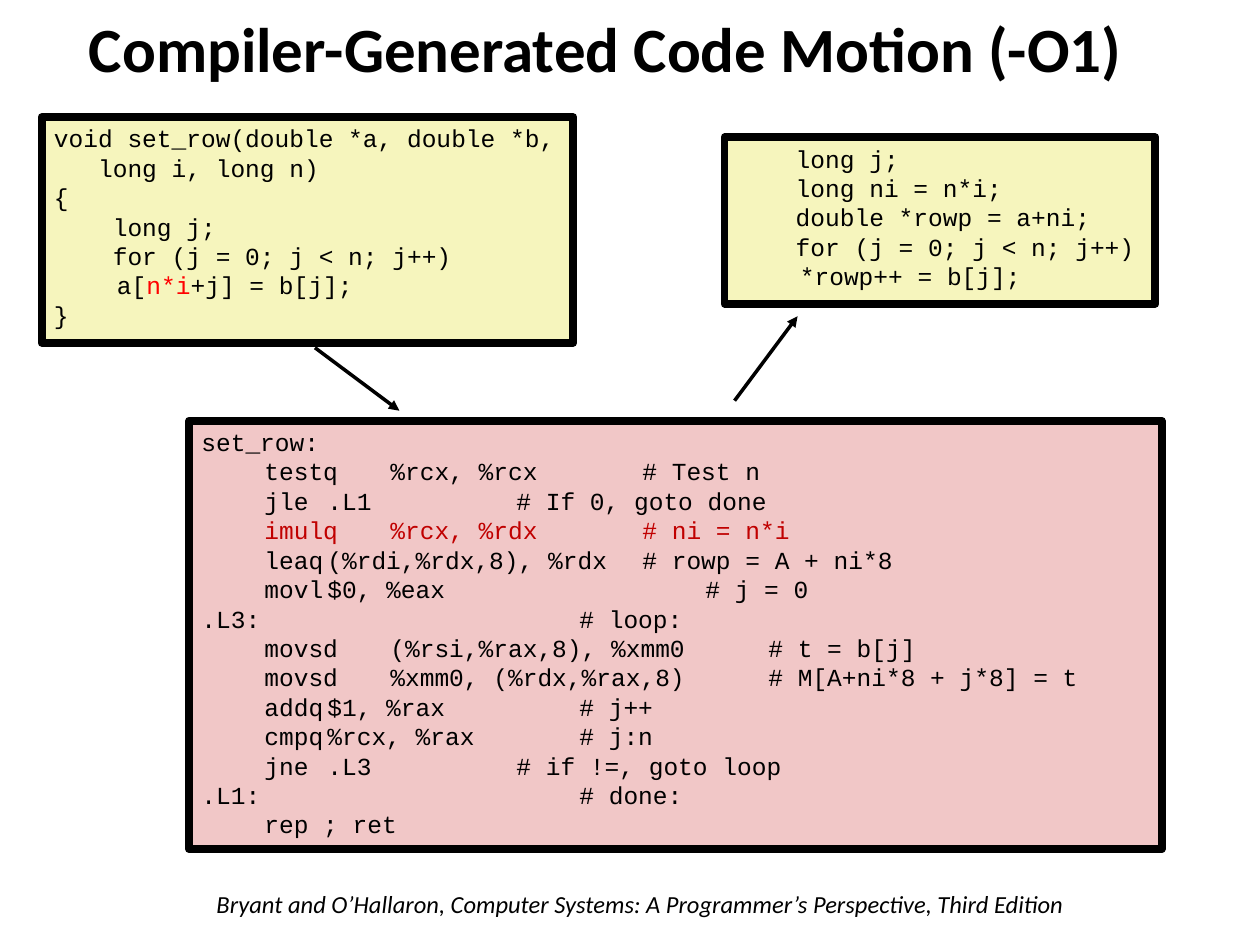
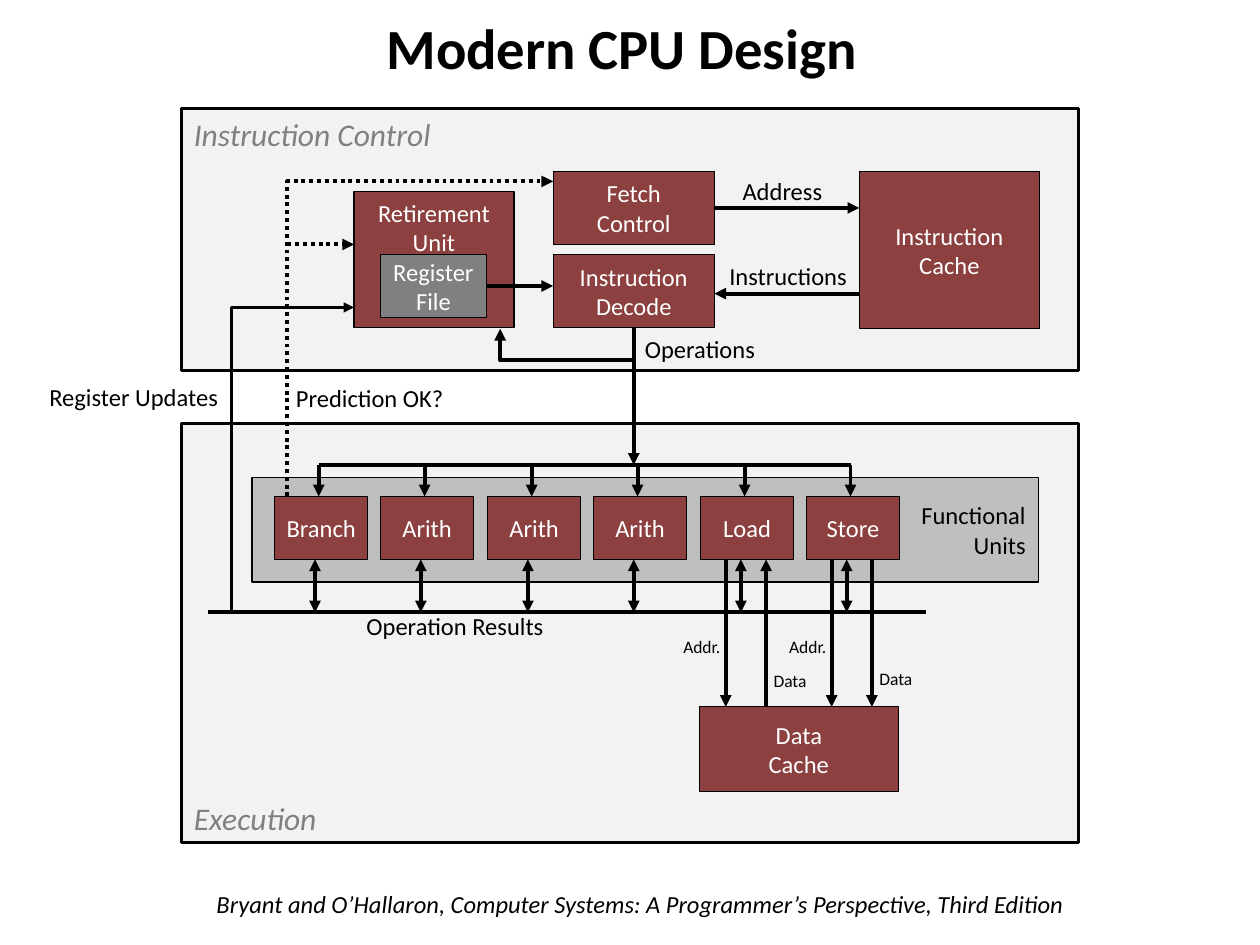
from dataclasses import dataclass

from lxml import etree
from pptx import Presentation
from pptx.dml.color import RGBColor
from pptx.enum.dml import MSO_LINE
from pptx.enum.shapes import MSO_CONNECTOR, MSO_SHAPE
from pptx.enum.text import MSO_ANCHOR, PP_ALIGN
from pptx.oxml.ns import qn
from pptx.util import Pt

PX = 9144  # EMU in one px, 100 px to the inch
BLANK_LAYOUT = 6
STRAIGHT = MSO_CONNECTOR.STRAIGHT
RECTANGLE = MSO_SHAPE.RECTANGLE
DOTTED = MSO_LINE.ROUND_DOT
TOP, MIDDLE, BOTTOM = MSO_ANCHOR.TOP, MSO_ANCHOR.MIDDLE, MSO_ANCHOR.BOTTOM
LEFT, CENTER, RIGHT = PP_ALIGN.LEFT, PP_ALIGN.CENTER, PP_ALIGN.RIGHT
BOTTOM_SIDE, RIGHT_SIDE = 2, 3
TAB_STOPS = range(50, 501, 50)


@dataclass(frozen=True)
class Theme:
    body_font: str = "Calibri"
    code_font: str = "Courier New"
    ink: str = "000000"
    paper: str = "FFFFFF"
    muted: str = "808080"
    panel: str = "F2F2F2"
    group: str = "BFBFBF"
    unit: str = "8C4040"
    source_code: str = "F6F5BD"
    assembly: str = "F1C7C7"
    source_mark: str = "FF0000"
    assembly_mark: str = "C00000"
    panel_size: float = 18
    text_size: float = 14
    small_size: float = 10
    code_line: float = 4.5
    arrow_line: float = 2.25
    panel_line: float = 1.5
    thin_line: float = 0.75


THEME = Theme()
FOOTER = ("Bryant and O’Hallaron, Computer Systems: "
          "A Programmer’s Perspective, Third Edition")


def apply(target, formats):
    for name, value in formats.items():
        setattr(target, name, value)


class Deck:
    """Holds the theme and the slide being drawn."""

    def __init__(self, theme):
        self.theme = theme
        self.presentation = Presentation()
        apply(self.presentation, {"slide_width": 1000 * PX, "slide_height": 750 * PX})
        self.slide = None

    def new_slide(self, title, place, size):
        layout = self.presentation.slide_layouts[BLANK_LAYOUT]
        self.slide = self.presentation.slides.add_slide(layout)
        self.label([FOOTER], (162, 701, 710, 34), italic=True)
        self.label([title], place, size=size, bold=True, align=CENTER,
                   anchor=MIDDLE, spacing=0.9)

    def set_text(self, frame, lines, size=None, color=None, font=None, align=LEFT,
                 anchor=TOP, wrap=True, inset=10, bold=False, italic=False,
                 spacing=None, tabs=(), mark=None, mark_color=None):
        apply(frame, {"word_wrap": wrap, "vertical_anchor": anchor,
                      "margin_left": inset * PX, "margin_right": inset * PX,
                      "margin_top": 5 * PX, "margin_bottom": 5 * PX})
        font_format = {"name": font or self.theme.body_font,
                       "size": Pt(size or self.theme.text_size),
                       "bold": bold, "italic": italic}
        for number, line in enumerate(lines):
            paragraph = frame.add_paragraph() if number else frame.paragraphs[0]
            apply(paragraph, {"alignment": align, "line_spacing": spacing})
            if tabs:
                tab_list = etree.SubElement(paragraph._p.get_or_add_pPr(), qn("a:tabLst"))
                for stop in tabs:
                    etree.SubElement(tab_list, qn("a:tab"), pos=str(stop * PX), algn="l")
            parts = line.partition(mark) if mark else (line,)
            for text in filter(None, parts):
                run = paragraph.add_run()
                run.text = text
                apply(run.font, font_format)
                shade = mark_color if text == mark else color or self.theme.ink
                run.font.color.rgb = RGBColor.from_string(shade)

    def label(self, lines, place, **text_format):
        box = self.slide.shapes.add_textbox(*(n * PX for n in place))
        self.set_text(box.text_frame, lines, **text_format)

    def box(self, lines, place, fill, line_width, **text_format):
        box = self.slide.shapes.add_shape(RECTANGLE, *(n * PX for n in place))
        box.shadow.inherit = False
        box.fill.solid()
        box.fill.fore_color.rgb = RGBColor.from_string(fill)
        self.stroke(box, line_width)
        self.set_text(box.text_frame, lines, **text_format)
        return box

    def code(self, lines, place, fill, **text_format):
        self.box(lines, place, fill, self.theme.code_line,
                 font=self.theme.code_font, tabs=TAB_STOPS, **text_format)

    def panel(self, name, place, anchor=TOP):
        self.box([name], place, self.theme.panel, self.theme.panel_line,
                 size=self.theme.panel_size, color=self.theme.muted,
                 italic=True, anchor=anchor)

    def unit(self, lines, place, fill=None, anchor=MIDDLE):
        return self.box(lines, place, fill or self.theme.unit, self.theme.thin_line,
                        color=self.theme.paper, align=CENTER, anchor=anchor, inset=0)

    def stroke(self, shape, width, ends=(), dash=None):
        shape.line.color.rgb = RGBColor.from_string(self.theme.ink)
        apply(shape.line, {"width": Pt(width), "dash_style": dash})
        outline = shape._element.spPr.find(qn("a:ln"))
        for end in ends:
            etree.SubElement(outline, qn(f"a:{end}"), type="triangle")

    def line(self, start, end, width=None, ends=("tailEnd",), dash=None, origin=None):
        """Draw a straight line; origin is the (box, side) it starts from."""
        line = self.slide.shapes.add_connector(
            STRAIGHT, *(n * PX for n in (*start, *end)))
        if origin:
            line.begin_connect(*origin)
        self.stroke(line, width or self.theme.arrow_line, ends, dash)
        etree.SubElement(line._element.spPr, qn("a:effectLst"))

    def bent_arrow(self, points, width=None, dash=None):
        start, *rest = [(x * PX, y * PX) for x, y in points]
        builder = self.slide.shapes.build_freeform(*start, scale=1.0)
        builder.add_line_segments(rest, close=False)
        arrow = builder.convert_to_shape()
        arrow.shadow.inherit = False
        arrow.fill.background()
        self.stroke(arrow, width or self.theme.arrow_line, ("tailEnd",), dash)


ASSEMBLY = [
    "set_row:",
    "\ttestq\t%rcx, %rcx\t\t# Test n",
    "\tjle\t.L1\t\t\t# If 0, goto done",
    "\timulq\t%rcx, %rdx\t\t# ni = n*i",
    "\tleaq\t(%rdi,%rdx,8), %rdx\t# rowp = A + ni*8",
    "\tmovl\t$0, %eax\t\t\t\t\t# j = 0",
    ".L3:\t\t\t\t\t\t# loop:",
    "\tmovsd\t(%rsi,%rax,8), %xmm0\t\t# t = b[j]",
    "\tmovsd\t%xmm0, (%rdx,%rax,8)\t\t# M[A+ni*8 + j*8] = t",
    "\taddq\t$1, %rax\t\t\t# j++",
    "\tcmpq\t%rcx, %rax\t\t# j:n",
    "\tjne\t.L3\t\t\t# if !=, goto loop",
    ".L1:\t\t\t\t\t\t# done:",
    "\trep ; ret",
]
SET_ROW = [
    "void set_row(double *a, double *b,",
    "   long i, long n)",
    "{",
    "    long j;",
    "    for (j = 0; j < n; j++)",
    "\ta[n*i+j] = b[j];",
    "}",
]
MOVED_CODE = [
    "    long j;",
    "    long ni = n*i;",
    "    double *rowp = a+ni;",
    "    for (j = 0; j < n; j++)",
    "\t*rowp++ = b[j];",
]


def draw_code_motion(deck):
    theme = deck.theme
    deck.new_slide("Compiler-Generated Code Motion (-O1)", (39, 0, 883, 83), 36)
    deck.code(ASSEMBLY, (150, 334, 772, 340), theme.assembly,
              mark=ASSEMBLY[3].strip(), mark_color=theme.assembly_mark)
    deck.code(MOVED_CODE, (575, 109, 342, 132), theme.source_code)
    deck.code(SET_ROW, (33, 93, 422, 179), theme.source_code,
              mark="n*i", mark_color=theme.source_mark)
    deck.line((250, 276), (317, 326), width=2)
    deck.line((583, 318), (633, 251), width=2)


def draw_cpu_design(deck):
    theme = deck.theme
    deck.new_slide("Modern CPU Design", (173, 9, 641, 63), 32.4)

    # Panels
    deck.panel("Execution", (144, 336, 712, 333), BOTTOM)
    deck.panel("Instruction Control", (144, 86, 712, 208))
    deck.box(["Functional", "Units"], (200, 379, 624, 83), theme.group,
             theme.thin_line, align=RIGHT, anchor=MIDDLE)

    # Instruction control units
    deck.unit(["Instruction", "Cache"], (682, 136, 143, 125))
    fetch = deck.unit(["Fetch", "Control"], (439, 136, 128, 58))
    decode = deck.unit(["Instruction", "Decode"], (439, 202, 128, 58))
    deck.unit(["Retirement", "Unit"], (281, 152, 127, 108), anchor=TOP)
    registers = deck.unit(["Register", "File"], (302, 202, 84, 50), fill=theme.muted)
    deck.unit(["Data", "Cache"], (555, 561, 158, 67))

    # Functional units between the operation bus and the result bus
    unit_top, unit_bottom, operation_bus, result_bus, cache_top = 394, 444, 369, 486, 561
    names = ["Branch", "Arith", "Arith", "Arith", "Load", "Store"]
    lefts = [round(218 + 84.4 * i) for i in range(len(names))]
    for name, left in zip(names, lefts):
        deck.unit([name], (left, unit_top, 74, unit_bottom - unit_top))
        deck.line((left + 35, operation_bus), (left + 35, unit_top))
        deck.line((left + 32, unit_bottom), (left + 32, result_bus),
                  ends=("headEnd", "tailEnd"))
    deck.line((lefts[0] + 35, operation_bus), (lefts[-1] + 35, operation_bus), ends=())
    deck.line((165, result_bus), (735, result_bus), ends=())

    # Memory traffic of the load and store units
    for left, data_end, data_top in ((lefts[-2], "headEnd", 527),
                                     (lefts[-1], "tailEnd", 525)):
        deck.line((left + 20, unit_bottom), (left + 20, cache_top))
        deck.line((left + 52, unit_bottom), (left + 52, cache_top), ends=(data_end,))
        for text, x, y, width in (("Addr.", left - 25, 500, 52),
                                  ("Data", left + 47, data_top, 48)):
            deck.label([text], (x, y, width, 27), size=theme.small_size,
                       align=CENTER, wrap=False)

    # Instruction flow
    deck.line((567, 165), (682, 165), origin=(fetch, RIGHT_SIDE))
    deck.line((682, 233), (567, 233))
    deck.line((503, 260), (503, operation_bus), origin=(decode, BOTTOM_SIDE))
    deck.line((386, 227), (439, 227), origin=(registers, RIGHT_SIDE))
    deck.bent_arrow([(503, 286), (397, 286), (397, 261)])

    # Feedback from execution
    deck.bent_arrow([(228, unit_top), (228, 144), (439, 144)], dash=DOTTED)
    deck.line((228, 194), (281, 194), dash=DOTTED)
    deck.bent_arrow([(184, result_bus), (184, 244), (281, 244)], width=theme.panel_line)

    # Signal names
    for text, place, align in (
            ("Address", (578, 135, 86, 34), CENTER),
            ("Instructions", (567, 202, 117, 34), CENTER),
            ("Operations", (500, 260, 111, 34), CENTER),
            ("Prediction OK?", (225, 299, 141, 34), LEFT),
            ("Operation Results", (281, 480, 166, 34), LEFT),
            ("Register Updates", (25, 298, 158, 34), RIGHT)):
        deck.label([text], place, align=align, wrap=False)


def main():
    deck = Deck(THEME)
    draw_code_motion(deck)
    draw_cpu_design(deck)
    deck.presentation.save("out.pptx")


if __name__ == "__main__":
    main()
